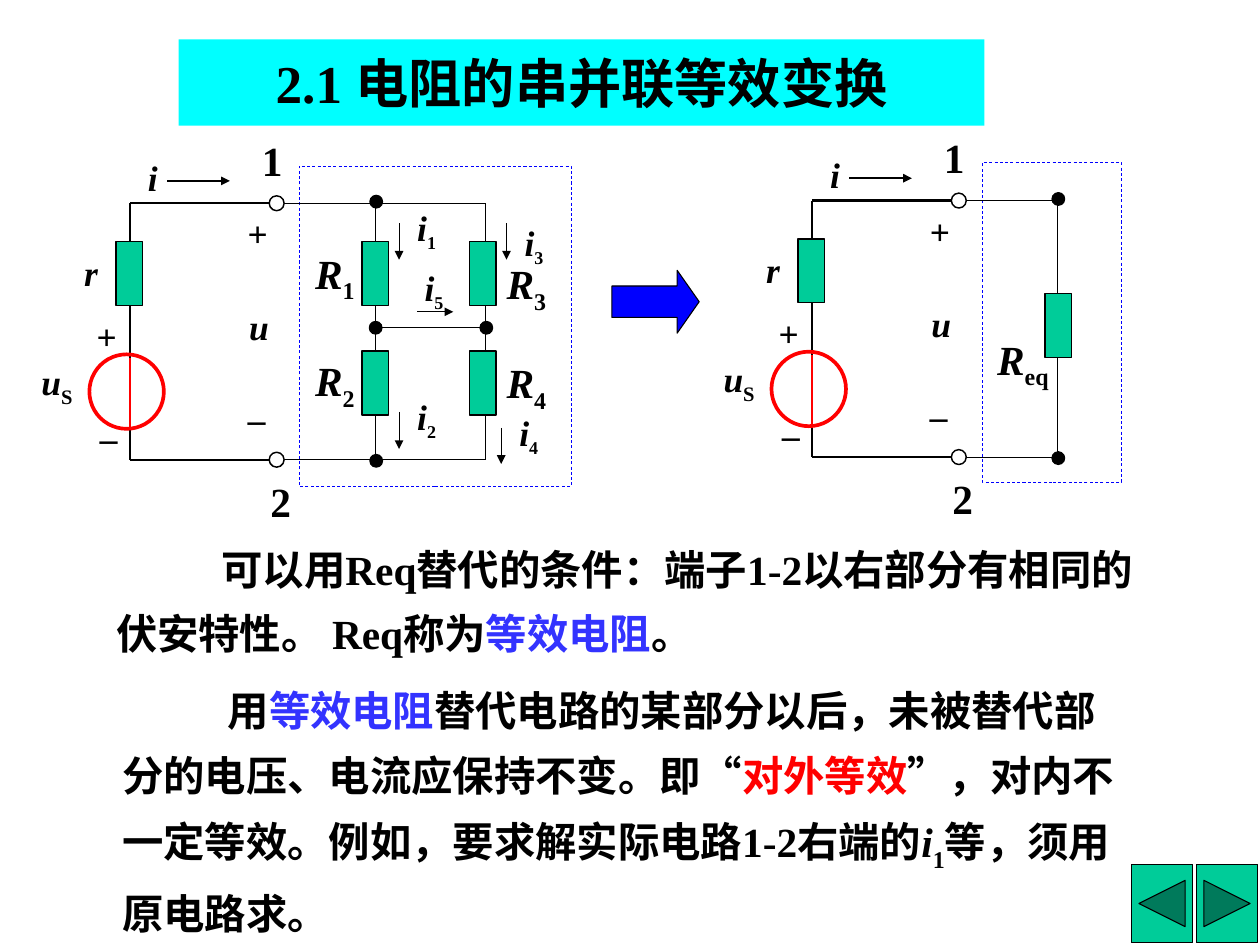
from dataclasses import dataclass
from typing import NamedTuple

from lxml.etree import SubElement
from pptx import Presentation
from pptx.dml.color import RGBColor
from pptx.enum.dml import MSO_LINE
from pptx.enum.lang import MSO_LANGUAGE_ID
from pptx.enum.shapes import MSO_CONNECTOR, MSO_SHAPE
from pptx.enum.text import MSO_ANCHOR, PP_ALIGN
from pptx.oxml.ns import qn
from pptx.util import Inches, Pt

# Grid of the slide: square cells, 118.4 columns by 88.8 rows
COLUMNS, ROWS = 118.4, 88.8
CELL = Inches(11.84) / COLUMNS


@dataclass(frozen=True)
class Theme:
    font: str = "Times New Roman"
    black: str = "000000"
    red: str = "FF0000"
    blue: str = "0000FF"
    term: str = "3333FF"
    green: str = "00CC99"
    banner: str = "00FFFF"
    title: float = 36
    large: float = 28
    small: float = 24
    index: float = 21


THEME = Theme()


class Box(NamedTuple):
    left: float
    top: float
    width: float
    height: float


class Piece(NamedTuple):
    text: str
    size: float = THEME.large
    color: str = THEME.black
    italic: bool = False
    subscript: bool = False


class Label(NamedTuple):
    box: Box
    pieces: tuple[Piece, ...]
    centred: bool = False
    rotation: float = 0


class Wire(NamedTuple):
    x1: float
    y1: float
    x2: float
    y2: float
    width: float = 0.75
    color: str = THEME.black
    arrow: bool = False


def grid(cells: float) -> int:
    return round(cells * CELL)


def draw_shape(kind, box: Box, fill="", line=THEME.black, width=0.75, dashed=False):
    shape = slide.shapes.add_shape(kind, *map(grid, box))
    shape.shadow.inherit = False
    if fill:
        shape.fill.solid()
        shape.fill.fore_color.rgb = RGBColor.from_string(fill)
    else:
        shape.fill.background()
    if line:
        shape.line.color.rgb = RGBColor.from_string(line)
        shape.line.width = Pt(width)
    else:
        shape.line.fill.background()
    if dashed:
        shape.line.dash_style = MSO_LINE.DASH
    return shape


def draw_wire(wire: Wire, dx: float = 0, dy: float = 0) -> None:
    ends = (wire.x1 + dx, wire.y1 + dy, wire.x2 + dx, wire.y2 + dy)
    connector = slide.shapes.add_connector(MSO_CONNECTOR.STRAIGHT, *map(grid, ends))
    connector.line.color.rgb = RGBColor.from_string(wire.color)
    connector.line.width = Pt(wire.width)
    if wire.arrow:
        SubElement(connector.line._get_or_add_ln(), qn("a:tailEnd"), type="triangle")
    SubElement(connector._element.spPr, qn("a:effectLst"))


def write(frame, pieces: tuple[Piece, ...]):
    frame.margin_left = frame.margin_right = grid(1.2)
    frame.margin_top = frame.margin_bottom = grid(0.6)
    paragraph = frame.paragraphs[0]
    for piece in pieces:
        run = paragraph.add_run()
        run.text = piece.text
        font = run.font
        font.name, font.size, font.bold = THEME.font, Pt(piece.size), True
        font.italic = piece.italic
        font.color.rgb = RGBColor.from_string(piece.color)
        font.language_id = MSO_LANGUAGE_ID.SIMPLIFIED_CHINESE
        if piece.subscript:
            run._r.get_or_add_rPr().set("baseline", "-25000")
    return paragraph


def draw_label(label: Label, dx: float = 0, dy: float = 0) -> None:
    left, top, width, height = label.box
    textbox = slide.shapes.add_textbox(*map(grid, (left + dx, top + dy, width, height)))
    textbox.rotation = label.rotation
    frame = textbox.text_frame
    paragraph = write(frame, label.pieces)
    frame.word_wrap = not label.centred
    if label.centred:
        frame.vertical_anchor = MSO_ANCHOR.MIDDLE
        paragraph.alignment = PP_ALIGN.CENTER


def draw_body(box: Box, pieces: tuple[Piece, ...]) -> None:
    frame = slide.shapes.add_textbox(*map(grid, box)).text_frame
    frame.word_wrap = True
    paragraph = write(frame, pieces)
    paragraph.line_spacing = 1.3
    properties = paragraph._p.get_or_add_pPr()
    properties.set("marL", "0")
    properties.set("indent", str(grid(9.9)))


def draw_resistor(left: float, top: float) -> None:
    draw_shape(MSO_SHAPE.RECTANGLE, Box(left, top, 2.5, 6), THEME.green, width=1)


def draw_node(x: float, y: float) -> None:
    draw_shape(MSO_SHAPE.OVAL, Box(x - 0.6, y - 0.6, 1.2, 1.2), THEME.black)


def symbol(left: float, top: float, width: float, text: str, sub: str = "", turn: float = 0) -> Label:
    pieces = (Piece(text, THEME.small, italic=True),)
    if sub:
        pieces += (Piece(sub, THEME.small, subscript=True),)
    return Label(Box(left, top, width, 5.15), pieces, True, turn)


def resistance(left: float, top: float, sub: str) -> Label:
    return Label(Box(left, top, 7.9, 5.9), (Piece("R", italic=True), Piece(sub, subscript=True)))


def current(left: float, top: float, sub: str) -> Label:
    return Label(Box(left, top, 7.9, 5.2), (Piece("i", THEME.small, italic=True),
                                            Piece(sub, THEME.index, subscript=True)))


def terminal(left: float, top: float, number: str) -> Label:
    return Label(Box(left, top, 7.9, 5.9), (Piece(number),))


# Parts shared by both circuits: source branch, port 1-2, first branch of the load
SOURCE_WIRES = (
    Wire(12.2, 43.2, 12.2, 19.1, 1.5), Wire(25.3, 43.2, 12.2, 43.2, 1.5),
    Wire(25.3, 19.1, 12.2, 19.1, 1.5), Wire(15.7, 17, 21.6, 17, 1, arrow=True),
    Wire(26.7, 19.1, 35.3, 19.1), Wire(26.7, 43.2, 35.3, 43.2), Wire(35.3, 19.3, 35.3, 43.6),
)
SOURCE_LABELS = (
    symbol(2.6, 33.5, 5.5, "u", "S"), symbol(7.9, 29.4, 4.3, "+", turn=180),
    symbol(8.4, 37.4, 4, "_"), symbol(12.7, 14.1, 3.3, "i"), symbol(22.2, 28.1, 4.3, "u"),
    symbol(22.1, 19.8, 4.3, "+", turn=180), symbol(22.3, 35.6, 4, "_"),
    symbol(6.7, 23, 3.7, "r"), terminal(23.4, 12.1, "1"), terminal(24.2, 44.1, "2"),
)


def draw_source(dx: float = 0, dy: float = 0) -> None:
    for wire in SOURCE_WIRES:
        draw_wire(wire, dx, dy)
    for y in (18.4, 42.5):
        draw_shape(MSO_SHAPE.OVAL, Box(25.3 + dx, y + dy, 1.4, 1.4), width=1)
    for y in (18.95, 43.3):
        draw_node(35.35 + dx, y + dy)
    draw_resistor(10.9 + dx, 22.7 + dy)
    draw_shape(MSO_SHAPE.OVAL, Box(8.4 + dx, 33.3 + dy, 7, 7), line=THEME.red, width=2.5)
    draw_wire(Wire(12.2, 33.6, 12.2, 40.2, 1.5, THEME.red), dx, dy)
    for label in SOURCE_LABELS:
        draw_label(label, dx, dy)


# Resistor network of the left circuit
NETWORK_WIRES = (
    Wire(35.3, 19.1, 45.6, 19.1), Wire(45.6, 19.1, 45.6, 43.2),
    Wire(35.3, 43.2, 45.6, 43.2), Wire(35.3, 30.8, 45.6, 30.8),
    Wire(37.5, 21, 37.5, 24.4, arrow=True), Wire(47.6, 21, 47.6, 24.4, arrow=True),
    Wire(37.5, 38.7, 37.5, 42.2, arrow=True), Wire(47.1, 40.2, 47.1, 43.6, arrow=True),
    Wire(39.2, 29.3, 42.6, 29.3, arrow=True),
)
NETWORK_LABELS = (
    resistance(28.4, 22.7, "1"), resistance(28.4, 32.8, "2"),
    resistance(46.4, 23.7, "3"), resistance(46.4, 33, "4"),
    current(38, 18.8, "1"), current(38, 36.5, "2"), current(48.1, 20.2, "3"),
    current(47.6, 38, "4"), current(38.7, 24.4, "5"),
)

presentation = Presentation()
presentation.slide_width, presentation.slide_height = grid(COLUMNS), grid(ROWS)
slide = presentation.slides.add_slide(presentation.slide_layouts[6])

# Navigation buttons
for button, left in ((MSO_SHAPE.ACTION_BUTTON_BACK_OR_PREVIOUS, 106.3),
                     (MSO_SHAPE.ACTION_BUTTON_FORWARD_OR_NEXT, 112.4)):
    draw_shape(button, Box(left, 81.2, 5.8, 7.4), THEME.green)

# Title banner
banner = draw_shape(MSO_SHAPE.RECTANGLE, Box(16.8, 3.7, 75.7, 8.1), THEME.banner, line="")
banner.text_frame.vertical_anchor = MSO_ANCHOR.MIDDLE
heading = write(banner.text_frame, (Piece("2.1 电阻的串并联等效变换", THEME.title),))
heading.alignment = PP_ALIGN.CENTER

# Left circuit
draw_shape(MSO_SHAPE.RECTANGLE, Box(28.1, 15.6, 25.6, 30.1), line=THEME.blue, width=0.5, dashed=True)
draw_source()
for wire in NETWORK_WIRES:
    draw_wire(wire)
for x in (34, 44.1):
    for y in (22.7, 33):
        draw_resistor(x, y)
for x in (35.3, 45.7):
    draw_node(x, 30.8)
for label in NETWORK_LABELS:
    draw_label(label)

# Arrow to the equivalent circuit
becomes = draw_shape(MSO_SHAPE.RIGHT_ARROW, Box(57.5, 25.4, 8.2, 5.9), THEME.blue)
becomes.adjustments[0], becomes.adjustments[1] = 0.5, 0.35

# Right circuit
draw_shape(MSO_SHAPE.RECTANGLE, Box(92.3, 15.3, 13.1, 30), line=THEME.blue, width=0.5, dashed=True)
draw_source(64.1, -0.25)
draw_resistor(98.2, 27.6)
draw_label(resistance(92.5, 30.8, "eq"))

# Explanation
draw_body(Box(9.7, 49.1, 100.1, 13.3), (
    Piece("可以用Req替代的条件：端子1-2以右部分有相同的伏安特性。 Req称为"),
    Piece("等效电阻", color=THEME.term), Piece("。"),
))
draw_body(Box(10.3, 62.4, 96.6, 25.5), (
    Piece("用"), Piece("等效电阻", color=THEME.term),
    Piece("替代电路的某部分以后，未被替代部分的电压、电流应保持不变。即“"),
    Piece("对外等效", color=THEME.red),
    Piece("”，对内不一定等效。例如，要求解实际电路1-2右端的"),
    Piece("i", italic=True), Piece("1", subscript=True), Piece("等，须用原电路求。"),
))

presentation.save("out.pptx")
